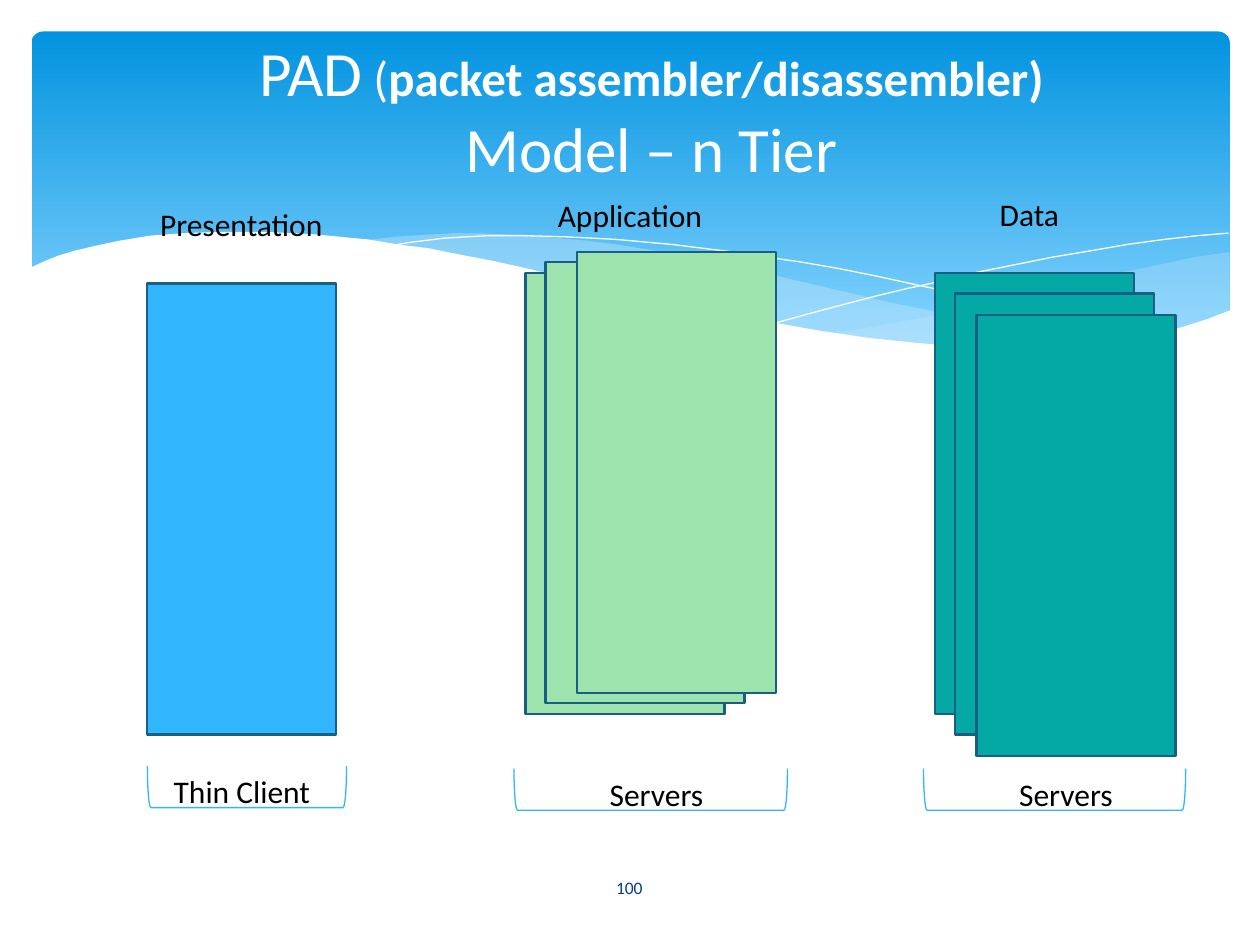
from pptx import Presentation
from pptx.dml.color import RGBColor
from pptx.enum.shapes import MSO_SHAPE
from pptx.enum.text import MSO_ANCHOR, PP_ALIGN
from pptx.oxml.ns import qn
from pptx.util import Inches, Pt
from lxml import etree

RECT, ROUND, BRACKET = MSO_SHAPE.RECTANGLE, MSO_SHAPE.ROUNDED_RECTANGLE, MSO_SHAPE.LEFT_BRACKET
MIDDLE, TOP, CENTER = MSO_ANCHOR.MIDDLE, MSO_ANCHOR.TOP, PP_ALIGN.CENTER

WHITE = RGBColor(0xFF, 0xFF, 0xFF)
BLACK = RGBColor(0, 0, 0)
SKY_TOP = RGBColor(0x02, 0x93, 0xE0)
SKY_LOW = RGBColor(0x83, 0xD3, 0xFE)
PALE = RGBColor(0xC6, 0xE7, 0xFC)
BLUE = RGBColor(0x31, 0xB6, 0xFD)
GREEN = RGBColor(0x9D, 0xE3, 0xAE)
TEAL = RGBColor(0x04, 0xA8, 0xA4)
EDGE = RGBColor(0x19, 0x5F, 0x84)
NAVY = RGBColor(0x07, 0x3E, 0x87)

# Text, size, bold
TITLE = [("PAD", 36, False), (" (", 28, False),
         ("packet assembler/disassembler) ", 28, True), ("Model – n Tier", 36, False)]
PAGE_NUMBER = "100"

# Boxes are (left, top, width, height); cards run from back to front
TIERS = [
    dict(color=BLUE, card=(1.5, 3.58), corners=[(1.17, 2.25)],
         name=("Presentation", (1.08, 1.58, 1.67, 0.42)),
         host=("Thin Client", (1.17, 6.08, 1.5, 0.4)), bracket=(1.17, 6.08, 1.58, 0.33)),
    dict(color=GREEN, card=(1.58, 3.5), corners=[(4.17, 2.17), (4.33, 2.08), (4.58, 2)],
         name=("Application", (4.25, 1.51, 1.5, 0.4)),
         host=("Servers", (4.17, 6.1, 2.08, 0.4)), bracket=(4.08, 6.1, 2.17, 0.33)),
    dict(color=TEAL, card=(1.58, 3.5), corners=[(7.42, 2.17), (7.58, 2.33), (7.75, 2.5)],
         name=("Data", (7.42, 1.5, 1.5, 0.42)),
         host=("Servers", (7.42, 6.1, 2.08, 0.4)), bracket=(7.33, 6.1, 2.08, 0.33)),
]

RIGHT_WAVE = [
    (9.76, 2), (9.48, 2.04), (9.21, 2.1), (8.91, 2.16), (8.61, 2.23), (8.05, 2.37),
    (7.53, 2.48), (7.06, 2.57), (6.61, 2.65), (6.91, 2.69), (7.19, 2.72), (7.45, 2.75),
    (7.69, 2.77), (8.03, 2.78), (8.35, 2.77), (8.63, 2.75), (8.89, 2.72), (9.13, 2.67),
    (9.35, 2.62), (9.49, 2.57), (9.63, 2.52), (9.76, 2.47)]
MIDDLE_WAVE = [
    (8.93, 2.73), (8.66, 2.69), (8.37, 2.65), (8.07, 2.6), (7.75, 2.54), (7.41, 2.47),
    (7.06, 2.4), (6.68, 2.31), (6.29, 2.22), (5.98, 2.14), (5.69, 2.08), (5.41, 2.03),
    (5.14, 1.98), (4.89, 1.94), (4.65, 1.91), (4.42, 1.89), (4.2, 1.87), (3.99, 1.86),
    (3.8, 1.85), (3.61, 1.85), (3.44, 1.86), (3.28, 1.87), (3.13, 1.88), (2.86, 1.91),
    (3.23, 1.96), (3.62, 2.03), (4.04, 2.11), (4.49, 2.22), (4.91, 2.32), (5.3, 2.4),
    (5.66, 2.48), (6.01, 2.55), (6.34, 2.61), (6.65, 2.66), (6.95, 2.7), (7.22, 2.74),
    (7.48, 2.76), (7.73, 2.77), (7.96, 2.78), (8.28, 2.78), (8.57, 2.77), (8.76, 2.75)]
FALLING_LINE = [
    (3.09, 1.95), (3.28, 1.92), (3.53, 1.89), (3.87, 1.87), (4.16, 1.87), (4.5, 1.88),
    (4.89, 1.9), (5.33, 1.94), (5.82, 2), (6.08, 2.04), (6.36, 2.08), (6.65, 2.13),
    (6.95, 2.19), (7.27, 2.26), (7.6, 2.33), (7.95, 2.41), (8.31, 2.51), (8.69, 2.61),
    (9.07, 2.72)]
RISING_LINE = [
    (6.13, 2.57), (6.53, 2.46), (6.95, 2.35), (7.2, 2.29), (7.48, 2.23), (7.76, 2.16),
    (8.06, 2.1), (8.36, 2.04), (8.66, 1.99), (8.95, 1.94), (9.24, 1.9), (9.51, 1.87),
    (9.75, 1.85)]
WHITE_WAVE = [
    (9.77, 2.46), (9.59, 2.53), (9.4, 2.59), (9.2, 2.65), (8.99, 2.69), (8.75, 2.73),
    (8.5, 2.75), (8.23, 2.77), (7.93, 2.76), (7.61, 2.75), (7.26, 2.72), (6.88, 2.68),
    (6.48, 2.62), (6.03, 2.54), (5.55, 2.45), (5.03, 2.33), (4.47, 2.2), (4.18, 2.13),
    (3.91, 2.07), (3.65, 2.02), (3.4, 1.97), (3.16, 1.94), (2.92, 1.9), (2.71, 1.88),
    (2.5, 1.86), (2.3, 1.85), (2.11, 1.84), (1.77, 1.84), (1.46, 1.85), (1.19, 1.87),
    (0.95, 1.91), (0.76, 1.95), (0.59, 1.99), (0.46, 2.03), (0.36, 2.07), (0.23, 2.13),
    (0.23, 3.29), (9.77, 3.29)]
# Points, fill (None for an open white line), opacity in percent
WAVES = [(RIGHT_WAVE, PALE, 29), (MIDDLE_WAVE, PALE, 40), (FALLING_LINE, None, 100),
         (RISING_LINE, None, 100), (WHITE_WAVE, WHITE, 100)]


def style(sp, fill=None, line=None, width=0):
    sp.shadow.inherit = False
    if fill is None:
        sp.fill.background()
    else:
        sp.fill.solid()
        sp.fill.fore_color.rgb = fill
    if line is None:
        sp.line.fill.background()
    else:
        sp.line.color.rgb = line
        sp.line.width = Pt(width)


def add_shape(s, kind, box):
    return s.shapes.add_shape(kind, *map(Inches, box))


def add_wave(s, points, fill, opacity):
    pts = [(Inches(x), Inches(y)) for x, y in points]
    builder = s.shapes.build_freeform(*pts[0])
    builder.add_line_segments(pts[1:], close=fill is not None)
    sp = builder.convert_to_shape()
    style(sp, fill, WHITE if fill is None else None)
    if opacity < 100:
        color = sp.fill._xPr.find(qn("a:solidFill"))[0]
        etree.SubElement(color, qn("a:alpha"), val=str(opacity * 1000))


def add_text(s, box, runs, color, anchor=TOP):
    """Add a centred text box from (text, size, bold) runs."""
    tf = s.shapes.add_textbox(*map(Inches, box)).text_frame
    tf.word_wrap = True
    tf.vertical_anchor = anchor
    p = tf.paragraphs[0]
    p.alignment = CENTER
    p.font.name = "Calibri"
    for text, size, bold in runs:
        r = p.add_run()
        r.text = text
        r.font.name = "Calibri"
        r.font.size = Pt(size)
        r.font.bold = bold
        r.font.color.rgb = color


def add_header(s):
    sp = add_shape(s, ROUND, (0.25, 0.25, 9.51, 2.7))
    sp.adjustments[0] = 0.034
    style(sp)
    sp.fill.gradient()
    sp.fill.gradient_angle = 270
    for stop, (position, color) in zip(sp.fill.gradient_stops, [(0, SKY_TOP), (0.9, SKY_LOW)]):
        stop.position = position
        stop.color.rgb = color
    for wave in WAVES:
        add_wave(s, *wave)


def add_bracket(s, box):
    """Add a bracket that opens upward and fills the box."""
    left, top, width, height = box
    shift = (width - height) / 2
    sp = add_shape(s, BRACKET, (left + shift, top - shift, height, width))
    sp.rotation = 270
    style(sp, line=BLUE, width=0.75)


def add_tier(s, tier):
    for corner in tier["corners"]:
        style(add_shape(s, RECT, corner + tier["card"]), tier["color"], EDGE, 1.25)
    for text, box in (tier["name"], tier["host"]):
        add_text(s, box, [(text, 18, False)], BLACK)
    add_bracket(s, tier["bracket"])


def main():
    prs = Presentation()
    prs.slide_width, prs.slide_height = Inches(10), Inches(7.5)
    s = prs.slides.add_slide(prs.slide_layouts[6])
    add_header(s)
    add_text(s, (4.36, 6.84, 1.27, 0.4), [(PAGE_NUMBER, 10, False)], NAVY, MIDDLE)
    add_text(s, (1.61, 0.24, 7.12, 1.25), TITLE, WHITE, MIDDLE)
    for tier in TIERS:
        add_tier(s, tier)
    prs.save("out.pptx")


if __name__ == "__main__":
    main()
